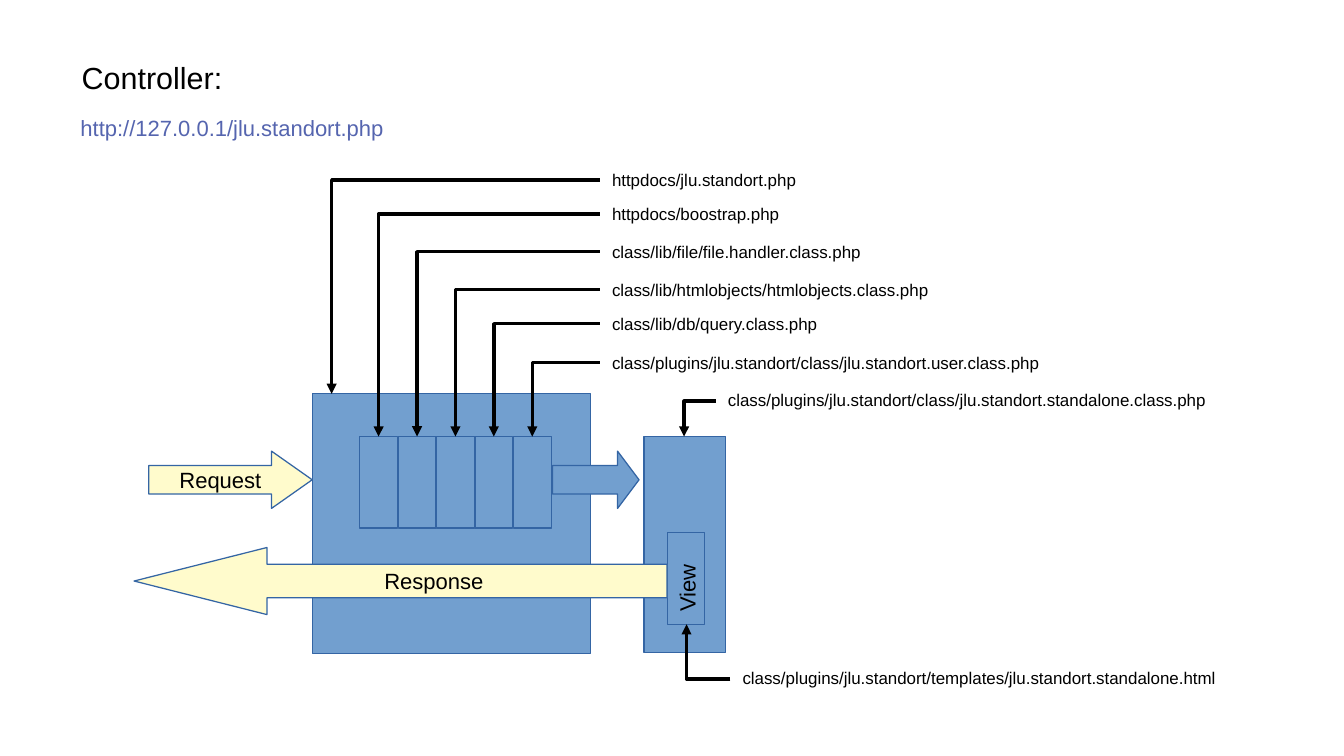
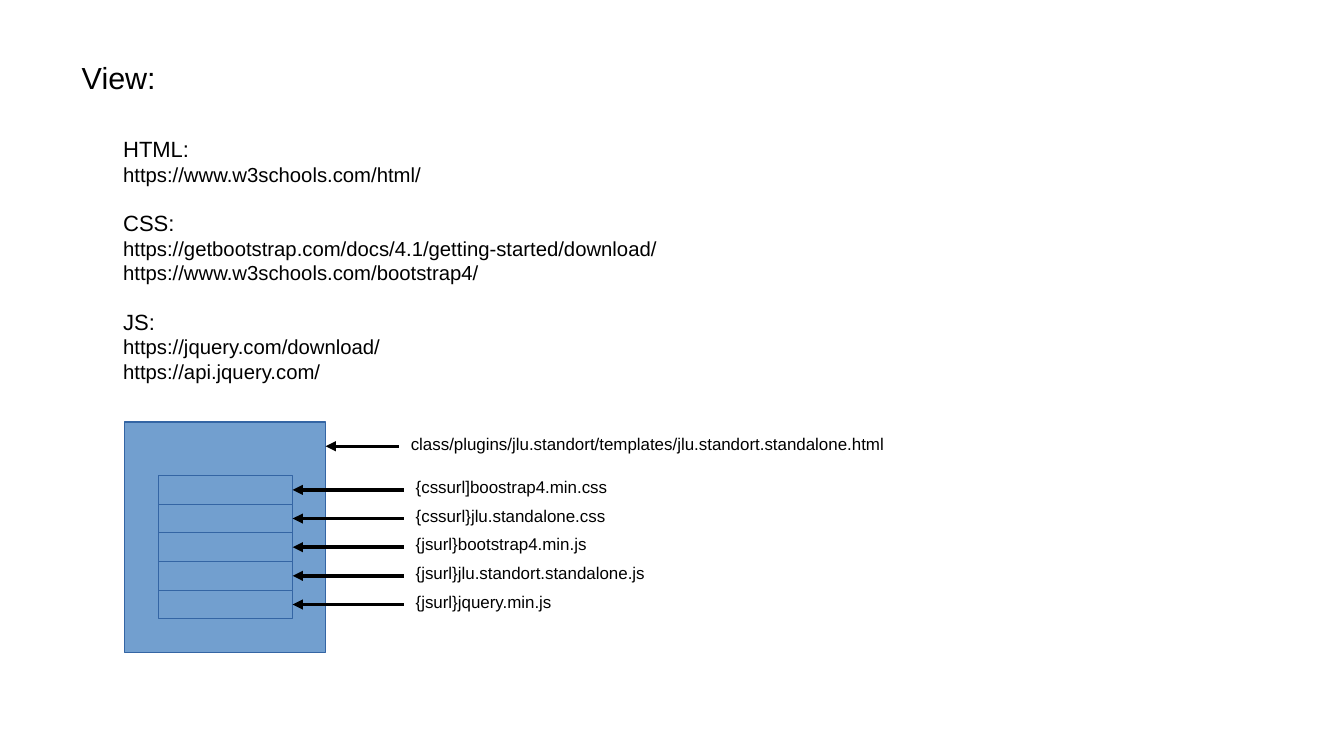
from lxml import etree
from pptx import Presentation
from pptx import util as u
from pptx.dml.color import RGBColor
from pptx.enum import shapes, text
from pptx.oxml import ns

BLUE = RGBColor(0x72, 0x9F, 0xCF)
OUTLINE = RGBColor(0x34, 0x65, 0xA4)
CREAM = RGBColor(0xFF, 0xFB, 0xCC)
LINK = RGBColor(0x55, 0x65, 0xAF)
BLACK = RGBColor(0, 0, 0)

FONT = "Arial"
TITLE_SIZE, HEAD_SIZE, URL_SIZE, LABEL_SIZE = 18, 13, 12, 10
HAIRLINE = u.Pt(0)
FRAME = {
    "margin_left": u.Inches(0.1), "margin_right": u.Inches(0.1),
    "margin_top": u.Inches(0.05), "margin_bottom": u.Inches(0.05),
    "auto_size": text.MSO_AUTO_SIZE.NONE,
    "vertical_anchor": text.MSO_ANCHOR.TOP, "word_wrap": True,
}
PARAGRAPH = {"alignment": text.PP_ALIGN.LEFT, "space_before": u.Pt(0)}

CONTROLLER_FILES = [  # label top, wording
    (1.62, "httpdocs/boostrap.php"),
    (1.93, "class/lib/file/file.handler.class.php"),
    (2.24, "class/lib/htmlobjects/htmlobjects.class.php"),
    (2.52, "class/lib/db/query.class.php"),
    (2.84, "class/plugins/jlu.standort/class/jlu.standort.user.class.php"),
]
TEMPLATE = "class/plugins/jlu.standort/templates/jlu.standort.standalone.html"
VIEW_FILES = [
    "{cssurl]boostrap4.min.css",
    "{cssurl}jlu.standalone.css",
    "{jsurl}bootstrap4.min.js",
    "{jsurl}jlu.standort.standalone.js",
    "{jsurl}jquery.min.js",
]
RESOURCES = {
    "HTML:": ["https://www.w3schools.com/html/"],
    "CSS:": ["https://getbootstrap.com/docs/4.1/getting-started/download/",
             "https://www.w3schools.com/bootstrap4/"],
    "JS:": ["https://jquery.com/download/", "https://api.jquery.com/"],
}


# Shared helpers
def inches(*lengths):
    return [u.Inches(length) for length in lengths]


def set_all(target, values):
    for name, value in values.items():
        setattr(target, name, value)


def write(shape, lines, bullets_off=False, **changes):
    """Fill a shape with lines of (wording, size, colour, space before)."""
    frame = shape.text_frame
    paragraph_changes = {"alignment": changes.pop("alignment", text.PP_ALIGN.LEFT)}
    set_all(frame, {**FRAME, **changes})
    for index, (wording, size, color, before) in enumerate(lines):
        paragraph = frame.add_paragraph() if index else frame.paragraphs[0]
        set_all(paragraph, {**PARAGRAPH, **paragraph_changes,
                            "space_before": u.Pt(before)})
        if bullets_off:
            properties = paragraph._p.get_or_add_pPr()
            properties.set("marL", "0")
            properties.set("indent", "0")
            etree.SubElement(properties, ns.qn("a:buNone"))
        run = paragraph.add_run()
        run.text = wording
        set_all(run.font, {"name": FONT, "size": u.Pt(size)})
        run.font.color.rgb = color


def add_label(slide, box, wording, size=LABEL_SIZE):
    label = slide.shapes.add_textbox(*inches(*box))
    write(label, [(wording, size, BLACK, 0)])
    return label


def add_block(slide, box, kind=shapes.MSO_SHAPE.RECTANGLE, fill=BLUE,
              head=None, wording=None):
    block = slide.shapes.add_shape(kind, *inches(*box))
    block.shadow.inherit = False
    block.fill.solid()
    block.fill.fore_color.rgb = fill
    block.line.color.rgb = OUTLINE
    block.line.width = HAIRLINE
    if head:
        block.adjustments[1] = head
    if wording:
        write(block, [(wording, HEAD_SIZE, BLACK, 0)], word_wrap=False,
              alignment=text.PP_ALIGN.CENTER,
              vertical_anchor=text.MSO_ANCHOR.MIDDLE)
    return block


def add_pointer(slide, start, end, bent=True):
    """Arrow; a bent one runs level first, then turns up or down at its end."""
    kind = shapes.MSO_CONNECTOR.ELBOW if bent else shapes.MSO_CONNECTOR.STRAIGHT
    pointer = slide.shapes.add_connector(kind, *inches(*start, *end))
    pointer.line.color.rgb = BLACK
    pointer.line.width = HAIRLINE
    properties = pointer._element.spPr
    if bent:
        guides = properties.find(ns.qn("a:prstGeom")).get_or_add_avLst()
        etree.SubElement(guides, ns.qn("a:gd"), name="adj1", fmla="val 100000")
    outline = properties.find(ns.qn("a:ln"))
    etree.SubElement(outline, ns.qn("a:tailEnd"), type="triangle")
    etree.SubElement(properties, ns.qn("a:effectLst"))
    return pointer


def add_content_slide(presentation, title, body_box, lines):
    slide = presentation.slides.add_slide(presentation.slide_layouts[1])
    heading, body = slide.placeholders
    contents = [(heading, (0.57, 0.43, 1.8, 0.38), [(title, TITLE_SIZE, BLACK, 0)]),
                (body, body_box, lines)]
    for shape, box, wording in contents:
        set_all(shape, dict(zip(("left", "top", "width", "height"), inches(*box))))
        write(shape, wording, bullets_off=shape is body)
    return slide


# Controller slide
def draw_controller(slide, left, top):
    """Main block with its row of included files and their labels."""
    add_block(slide, (left, top, 2.28, 2.13))
    label_left, cell_width, pitch = left + 2.36, 0.31, 0.315
    cell_left, cell_top = left + 0.39, top + 0.35
    for index in range(len(CONTROLLER_FILES)):
        add_block(slide, (cell_left + index * pitch, cell_top, cell_width, 0.75))
    targets = [(left + 0.16, top, 1.34, "httpdocs/jlu.standort.php")]
    targets += [(cell_left + index * pitch + cell_width / 2, cell_top, *entry)
                for index, entry in enumerate(CONTROLLER_FILES)]
    for x, y, label_top, wording in targets:
        add_label(slide, (label_left, label_top, 4.2, 0.27), wording)
        add_pointer(slide, (label_left, label_top + 0.135), (x, y))
    add_block(slide, (left + 1.97, top + 0.47, 0.71, 0.47),
              shapes.MSO_SHAPE.RIGHT_ARROW, head=0.375)


def draw_standalone(slide, left, top):
    """Output block with the view inside it."""
    add_block(slide, (left, top, 0.67, 1.77))
    add_block(slide, (left + 0.19, top + 0.79, 0.31, 0.75))
    view = add_label(slide, (left + 0.01, top + 1.02, 0.7, 0.33), "View", HEAD_SIZE)
    view.rotation = 270
    notes = [
        (0.59, -0.43, (0.33, 0),
         "class/plugins/jlu.standort/class/jlu.standort.standalone.class.php"),
        (0.71, 1.85, (0.35, 1.54), TEMPLATE),
    ]
    for x, y, (end_x, end_y), wording in notes:
        add_label(slide, (left + x, top + y, 4.57, 0.27), wording)
        add_pointer(slide, (left + x, top + y + 0.14), (left + end_x, top + end_y))


def build_controller(presentation):
    address = [("http://127.0.0.1/jlu.standort.php", HEAD_SIZE, LINK, 0)]
    slide = add_content_slide(presentation, "Controller:",
                              (0.56, 0.89, 2.9, 0.5), address)
    draw_standalone(slide, 5.28, 3.58)
    draw_controller(slide, 2.56, 3.23)
    add_block(slide, (1.22, 3.7, 1.34, 0.47), shapes.MSO_SHAPE.RIGHT_ARROW,
              CREAM, 0.71, "Request")
    add_block(slide, (1.1, 4.49, 4.37, 0.55), shapes.MSO_SHAPE.LEFT_ARROW,
              CREAM, 1.98, "Response")


# View slide
def draw_template(slide, left, top):
    """Template block with its stack of linked files."""
    add_block(slide, (left, top, 1.65, 1.89))
    add_label(slide, (left + 2.25, top + 0.05, 4.25, 0.31), TEMPLATE)
    add_pointer(slide, (left + 2.25, top + 0.2), (left + 1.65, top + 0.2), bent=False)
    cell_height = 0.235
    for index, wording in enumerate(VIEW_FILES):
        y = top + 0.44 + index * cell_height
        cell = add_block(slide, (left + 0.28, y, 1.1, cell_height))
        add_label(slide, (left + 2.29, y - 0.04, 2.68, 0.3), wording)
        middle = y + cell_height / 2
        pointer = add_pointer(slide, (left + 2.29, middle), (left + 1.38, middle),
                              bent=False)
        pointer.end_connect(cell, 3)


def build_view(presentation):
    lines = []
    for heading, addresses in RESOURCES.items():
        lines.append((heading, HEAD_SIZE, BLACK, 13.8 if lines else 0))
        lines += [(address, URL_SIZE, BLACK, 0) for address in addresses]
    slide = add_content_slide(presentation, "View:", (0.91, 1.06, 6.87, 2.29), lines)
    draw_template(slide, 1.02, 3.46)


def main():
    presentation = Presentation()
    set_all(presentation, {"slide_width": u.Inches(11.02),
                           "slide_height": u.Inches(6.2)})
    build_controller(presentation)
    build_view(presentation)
    presentation.save("out.pptx")


if __name__ == "__main__":
    main()
